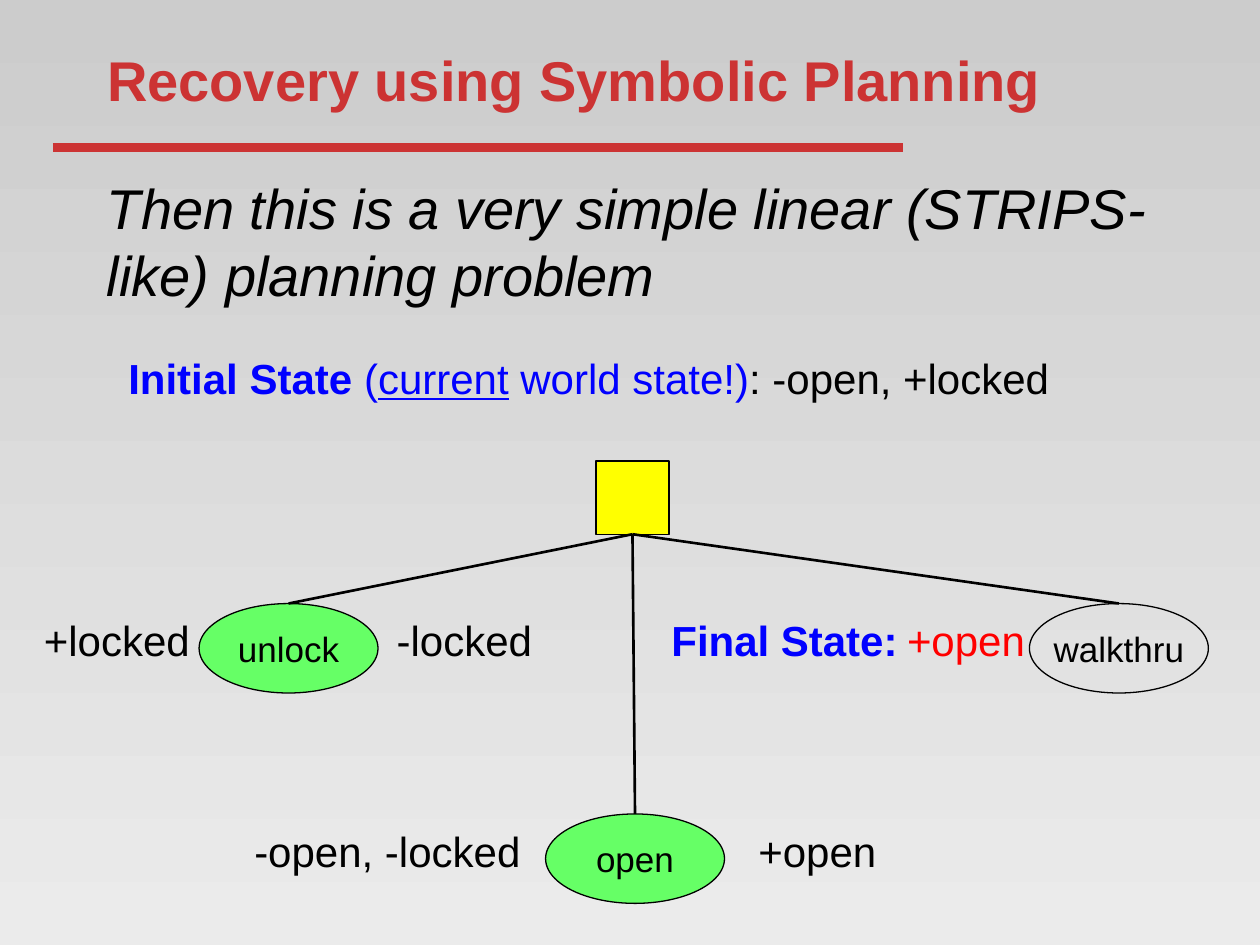
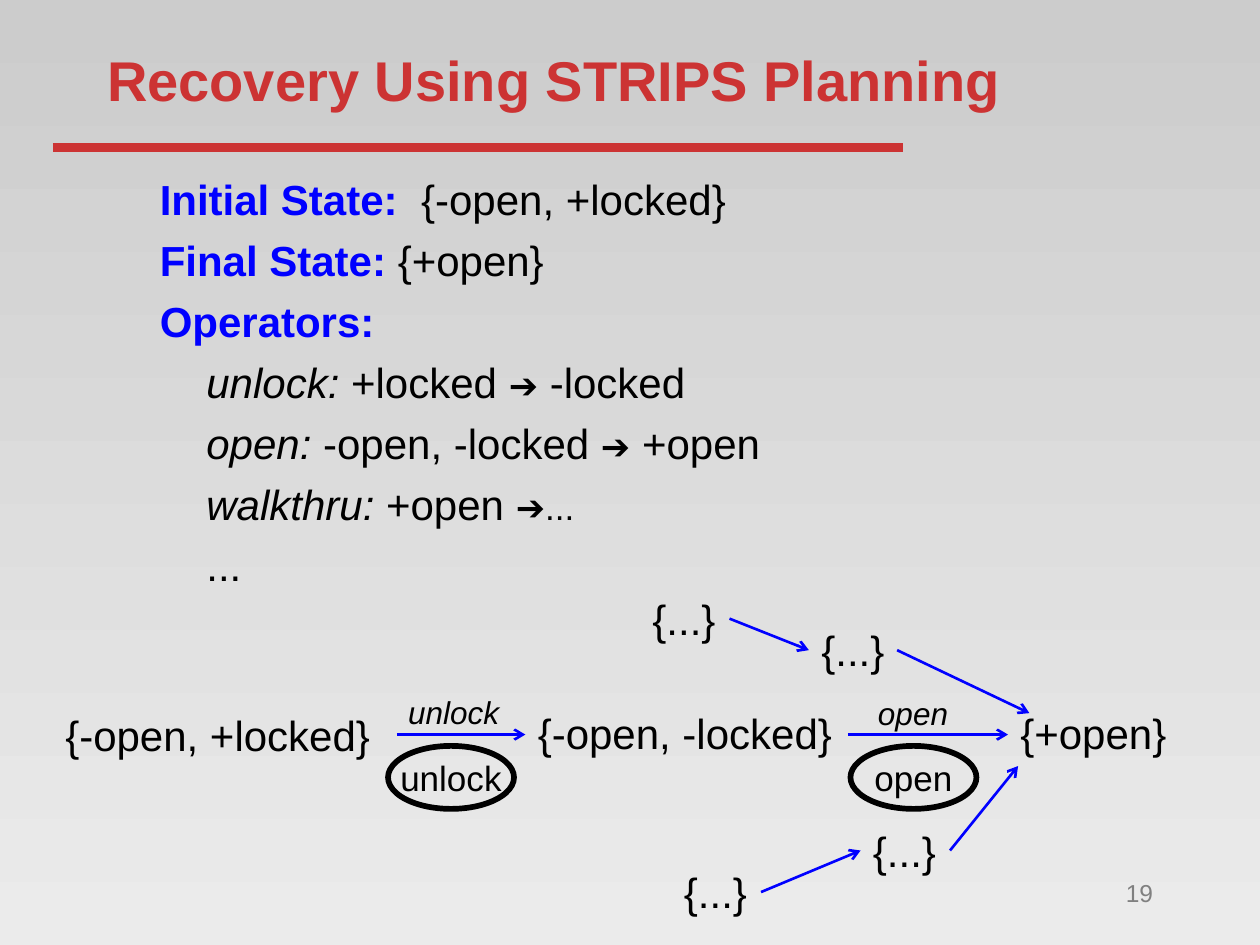
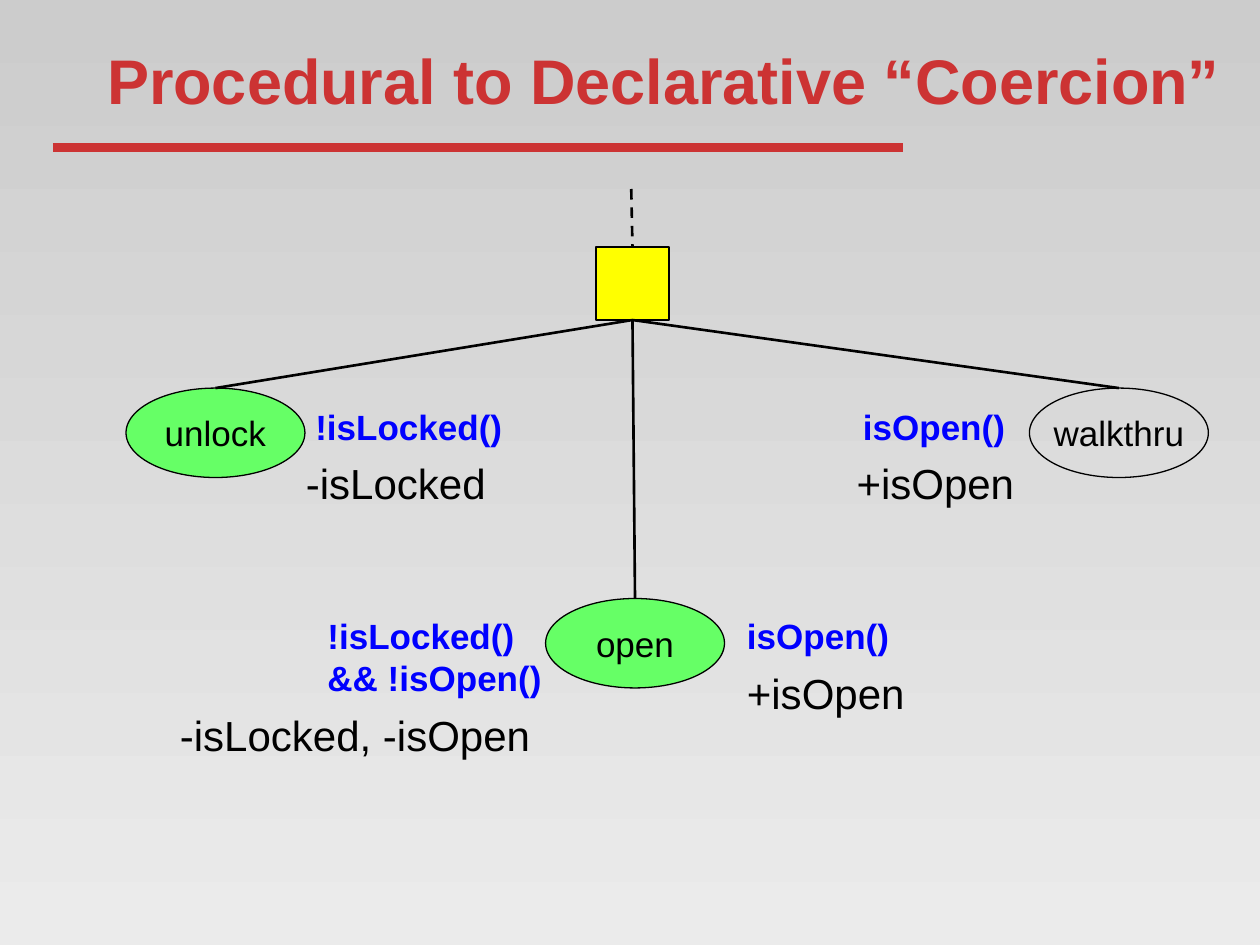
"""Build three slides on recovering a procedure through symbolic planning."""
from pptx import Presentation, util as u
from pptx.dml.color import RGBColor
from pptx.enum import dml, shapes, text
from pptx.oxml.ns import qn
from lxml import etree

FONT = "Arial"
RED, BLACK, BLUE = "CC3333", "000000", "0000FF"
YELLOW, GREEN, GREY, ALERT = "FFFF00", "66FF66", "808080", "FF0000"
LEFT, CENTER, RIGHT = text.PP_ALIGN.LEFT, text.PP_ALIGN.CENTER, text.PP_ALIGN.RIGHT
TOP, MIDDLE = text.MSO_ANCHOR.TOP, text.MSO_ANCHOR.MIDDLE
LABEL_HEIGHT = 0.5
NODE_WIDTH, NODE_HEIGHT = 1.42, 0.71
OPERATOR_INDENT = 0.37


def write(shape, paragraphs, align=LEFT, anchor=TOP, wrap=False):
    """Fill a shape with paragraphs of (text, size, colour, style letters) runs."""
    frame = shape.text_frame
    frame.word_wrap = wrap
    frame.auto_size = text.MSO_AUTO_SIZE.NONE
    frame.vertical_anchor = anchor
    for index, runs in enumerate(paragraphs):
        paragraph = frame.add_paragraph() if index else frame.paragraphs[0]
        paragraph.alignment = align
        for words, size, colour, style in runs:
            run = paragraph.add_run()
            run.text = words
            run.font.name = FONT
            run.font.size = u.Pt(size)
            run.font.color.rgb = RGBColor.from_string(colour)
            run.font.bold = "b" in style
            run.font.italic = "i" in style
            run.font.underline = "u" in style


def draw_line(slide, start, end, colour, weight, arrow=False):
    """Draw a straight line, with an arrowhead at its end if asked."""
    line = slide.shapes.add_connector(
        shapes.MSO_CONNECTOR.STRAIGHT, *map(u.Inches, (*start, *end)))
    line.line.color.rgb = RGBColor.from_string(colour)
    line.line.width = u.Pt(weight)
    if arrow:
        etree.SubElement(line.line._get_or_add_ln(), qn("a:tailEnd"), type="arrow")
    etree.SubElement(line._element.spPr, qn("a:effectLst"))
    return line


presentation = Presentation()
presentation.slide_width = u.Inches(10)
presentation.slide_height = u.Inches(7.5)

background = presentation.slide_master.background.fill
background.gradient()
background.gradient_angle = 270
for stop, shade in zip(background.gradient_stops, ("CCCCCC", "EBEBEB")):
    stop.color.rgb = RGBColor.from_string(shade)

titles = [
    ("Recovery using Symbolic Planning", 32),
    ("Recovery Using STRIPS Planning", 32),
    ("Procedural to Declarative “Coercion”", 36),
]
slides = []
for words, size in titles:
    slide = presentation.slides.add_slide(presentation.slide_layouts[5])
    title = slide.shapes.title
    title.left, title.top, title.width, title.height = map(
        u.Inches, (0.75, 0.17, 9.08, 0.92))
    write(title, [[(words, size, RED, "b")]], anchor=MIDDLE, wrap=True)
    draw_line(slide, (0.42, 1.17), (7.17, 1.17), RED, 5)
    slides.append(slide)
planning, strips, coercion = slides

roots = {}
for slide, top in ((planning, 3.66), (coercion, 1.96)):
    root = slide.shapes.add_shape(
        shapes.MSO_SHAPE.RECTANGLE, *map(u.Inches, (4.73, top, 0.58, 0.58)))
    root.shadow.inherit = False
    root.fill.solid()
    root.fill.fore_color.rgb = RGBColor.from_string(YELLOW)
    root.line.color.rgb = RGBColor.from_string(BLACK)
    root.line.width = u.Pt(0.75)
    roots[slide.slide_id] = root

node = (NODE_WIDTH, NODE_HEIGHT)
ring = (1, 0.5)
ellipses = [
    (planning, "unlock", (1.58, 4.79), node, GREEN, 0.75),
    (planning, "open", (4.33, 6.46), node, GREEN, 0.75),
    (planning, "walkthru", (8.17, 4.79), node, None, 0.75),
    (strips, "unlock", (3.08, 5.92), ring, None, 3.25),
    (strips, "open", (6.75, 5.92), ring, None, 3.25),
    (coercion, "unlock", (1, 3.08), node, GREEN, 0.75),
    (coercion, "open", (4.33, 4.75), node, GREEN, 0.75),
    (coercion, "walkthru", (8.17, 3.08), node, None, 0.75),
]
for slide, action, corner, extent, fill, weight in ellipses:
    ellipse = slide.shapes.add_shape(
        shapes.MSO_SHAPE.OVAL, *map(u.Inches, (*corner, *extent)))
    ellipse.shadow.inherit = False
    if fill:
        ellipse.fill.solid()
        ellipse.fill.fore_color.rgb = RGBColor.from_string(fill)
    else:
        ellipse.fill.background()
    ellipse.line.color.rgb = RGBColor.from_string(BLACK)
    ellipse.line.width = u.Pt(weight)
    write(ellipse, [[(action, 20, BLACK, "")]], CENTER, MIDDLE)
    if slide.slide_id in roots:
        branch = draw_line(slide, (0, 0), (1, 1), BLACK, 1.5)
        branch.begin_connect(roots[slide.slide_id], 2)
        branch.end_connect(ellipse, 0)

stem = draw_line(coercion, (5.01, 1.5), (5.02, 1.96), BLACK, 1.5)
stem.line.dash_style = dml.MSO_LINE.DASH

state_labels = [
    (planning, "+locked", 0.25, 4.83, 1.37, BLACK),
    (planning, "-locked", 3.05, 4.83, 1.29, BLACK),
    (planning, "-open, -locked", 1.92, 6.5, 2.33, BLACK),
    (planning, "+open", 7.1, 4.83, 1.15, ALERT),
    (planning, "+open", 5.92, 6.5, 1.15, BLACK),
    (strips, "{-open, +locked}", 0.42, 5.58, 2.74, BLACK),
    (strips, "{-open, -locked}", 4.17, 5.57, 2.56, BLACK),
    (strips, "{+open}", 8, 5.57, 1.37, BLACK),
    (strips, "{...}", 5.08, 4.66, 0.71, BLACK),
    (strips, "{...}", 6.42, 4.91, 0.71, BLACK),
    (strips, "{...}", 5.33, 6.83, 0.71, BLACK),
    (strips, "{...}", 6.83, 6.5, 0.71, BLACK),
    (coercion, "-isLocked", 2.33, 3.58, 1.64, BLACK),
    (coercion, "+isOpen", 6.7, 3.58, 1.46, BLACK),
    (coercion, "+isOpen", 5.83, 5.25, 1.46, BLACK),
]
for slide, state, left, top, width, colour in state_labels:
    label = slide.shapes.add_textbox(*map(u.Inches, (left, top, width, LABEL_HEIGHT)))
    write(label, [[(state, 24, colour, "")]])

initial_state = [
    ("Initial State ", 24, BLUE, "b"),
    ("(", 24, BLUE, ""),
    ("current", 24, BLUE, "u"),
    (" world state!)", 24, BLUE, ""),
    (": -open, +locked", 24, BLACK, ""),
]
premise = "Then this is a very simple linear (STRIPS-like) planning problem"
passages = [
    (planning, (0.75, 1.33, 8.58, 1.18), LEFT, [[(premise, 32, BLACK, "i")]]),
    (planning, (0.92, 2.75, 7.88, 0.5), LEFT, [initial_state]),
    (planning, (5.23, 4.83, 2.02, 0.5), LEFT, [[("Final State:", 24, BLUE, "b")]]),
    (strips, (7.17, 6.92, 2.08, 0.5), RIGHT, [[("19", 14, GREY, "")]]),
    (strips, (3.14, 5.45, 1, 0.4), LEFT, [[("unlock", 18, BLACK, "i")]]),
    (strips, (6.87, 5.46, 1, 0.4), LEFT, [[("open", 18, BLACK, "i")]]),
    (coercion, (2.08, 3.17, 2.33, 0.44), CENTER, [[("!isLocked()", 20, BLUE, "b")]]),
    (coercion, (2.5, 4.83, 2.58, 0.77), LEFT,
     [[("!isLocked()", 20, BLUE, "b")], [("&& !isOpen()", 20, BLUE, "b")]]),
    (coercion, (6.75, 3.17, 2.25, 0.44), LEFT, [[("isOpen()", 20, BLUE, "b")]]),
    (coercion, (5.83, 4.83, 2.25, 0.44), LEFT, [[("isOpen()", 20, BLUE, "b")]]),
    (coercion, (1.33, 5.58, 3.33, 0.5), LEFT,
     [[("-isLocked, -isOpen", 24, BLACK, "")]]),
]
for slide, box, align, paragraphs in passages:
    passage = slide.shapes.add_textbox(*map(u.Inches, box))
    write(passage, paragraphs, align, wrap=True)

headings = [
    [("Initial State:  ", 24, BLUE, "b"), ("{-open, +locked}", 24, BLACK, "")],
    [("Final State: ", 24, BLUE, "b"), ("{+open}", 24, BLACK, "")],
    [("Operators:", 24, BLUE, "b")],
]
operators = [
    [("unlock:", 24, BLACK, "i"), (" +locked ", 24, BLACK, ""),
     ("➔", 20, BLACK, "i"), (" ", 24, BLACK, "i"), ("-locked", 24, BLACK, "")],
    [("open: ", 24, BLACK, "i"), ("-open, -locked ", 24, BLACK, ""),
     ("➔", 20, BLACK, ""), (" +open", 24, BLACK, "")],
    [("walkthru: ", 24, BLACK, "i"), ("+open ", 24, BLACK, ""),
     ("➔...", 20, BLACK, "")],
    [("...", 24, BLACK, "")],
]
problem = strips.shapes.add_textbox(*map(u.Inches, (1.17, 1.33, 6.33, 3.43)))
write(problem, headings + operators, wrap=True)
for index, paragraph in enumerate(problem.text_frame.paragraphs):
    paragraph.space_after = u.Pt(6)
    if index >= len(headings):
        paragraph._p.get_or_add_pPr().set("marL", str(u.Inches(OPERATOR_INDENT)))

transitions = [
    ((3.15, 5.83), (4.17, 5.83)),
    ((6.73, 5.83), (8, 5.83)),
    ((5.79, 4.91), (6.42, 5.16)),
    ((7.12, 5.16), (8.17, 5.66)),
    ((6.04, 7.08), (6.83, 6.75)),
    ((7.54, 6.75), (8.08, 6.08)),
]
for start, end in transitions:
    draw_line(strips, start, end, BLUE, 1.5, arrow=True)

presentation.save("out.pptx")
